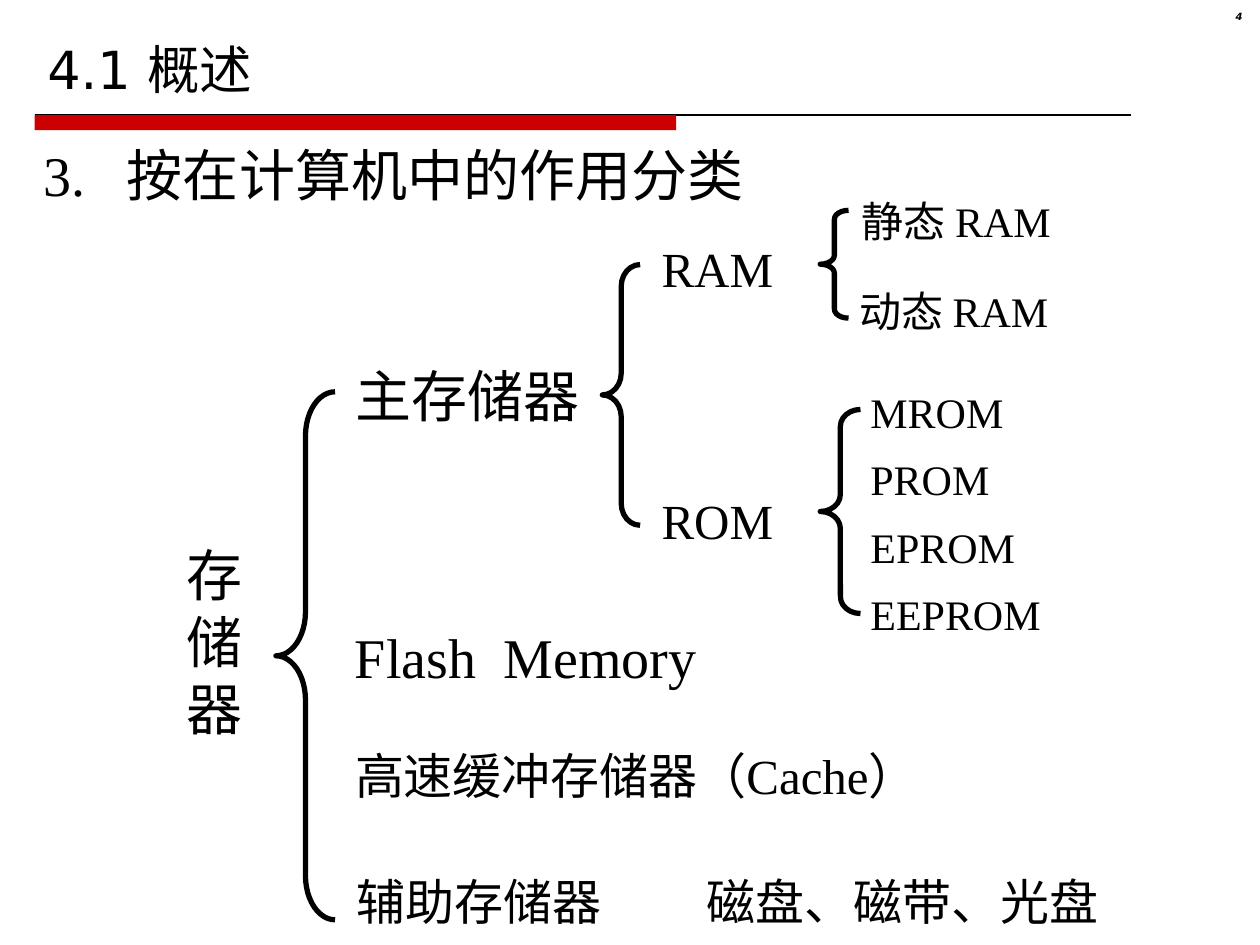
import pptx
import pptx.dml.color
import pptx.enum.shapes
import pptx.enum.text
import pptx.oxml
import pptx.oxml.ns
import pptx.util
from dataclasses import dataclass

Pt = pptx.util.Pt
SHAPE = pptx.enum.shapes.MSO_SHAPE
ALIGN = pptx.enum.text.PP_ALIGN


@dataclass(frozen=True)
class Theme:
    ink: str = "000000"
    accent: str = "CC0000"
    title_font: str = "DejaVu Sans"
    body_font: str = "Times New Roman"
    title: float = 30
    large: float = 32
    medium: float = 28
    small: float = 24
    number: float = 5.7


class SlideBuilder:
    def __init__(self, slide, theme):
        self.slide = slide
        self.theme = theme

    def color(self, value):
        return pptx.dml.color.RGBColor.from_string(value)

    def format_runs(self, tf, size, font):
        for p in tf.paragraphs:
            for r in p.runs:
                r.font.size = Pt(size)
                r.font.name = font
                r.font.color.rgb = self.color(self.theme.ink)

    def title(self, text, x, y, w, h):
        sp = self.slide.shapes.title
        sp.left, sp.top, sp.width, sp.height = Pt(x), Pt(y), Pt(w), Pt(h)
        tf = sp.text_frame
        tf.text = text
        tf.auto_size = pptx.enum.text.MSO_AUTO_SIZE.NONE
        tf.vertical_anchor = pptx.enum.text.MSO_ANCHOR.BOTTOM
        tf.paragraphs[0].alignment = ALIGN.LEFT
        self.format_runs(tf, self.theme.title, self.theme.title_font)

    def label(self, text, x, y, w, h, size, font=None, tab=None):
        sp = self.slide.shapes.add_textbox(Pt(x), Pt(y), Pt(w), Pt(h))
        tf = sp.text_frame
        tf.word_wrap = True
        tf.text = text
        if tab:
            pPr = tf.paragraphs[0]._p.get_or_add_pPr()
            pPr.append(pptx.oxml.parse_xml(
                f'<a:tabLst {pptx.oxml.ns.nsdecls("a")}>'
                f'<a:tab pos="{Pt(tab)}" algn="l"/></a:tabLst>'))
        self.format_runs(tf, size, font or self.theme.body_font)
        return tf

    def brace(self, x, y, w, h):
        sp = self.slide.shapes.add_shape(
            SHAPE.LEFT_BRACE, Pt(x), Pt(y), Pt(w), Pt(h))
        sp.shadow.inherit = False
        sp.adjustments[0] = h / 12 / w  # each curve spans a twelfth of the height
        sp.fill.background()
        sp.line.color.rgb = self.color(self.theme.ink)
        sp.line.width = Pt(3)

    def bar(self, x, y, w, h):
        sp = self.slide.shapes.add_shape(
            SHAPE.RECTANGLE, Pt(x), Pt(y), Pt(w), Pt(h))
        sp.shadow.inherit = False
        sp.fill.solid()
        sp.fill.fore_color.rgb = self.color(self.theme.accent)
        sp.line.fill.background()

    def rule(self, x, y, w):
        cx = self.slide.shapes.add_connector(
            pptx.enum.shapes.MSO_CONNECTOR.STRAIGHT,
            Pt(x), Pt(y), Pt(x + w), Pt(y))
        cx.line.color.rgb = self.color(self.theme.ink)
        cx.line.width = Pt(0.75)
        cx._element.spPr.append(pptx.oxml.parse_xml(
            f'<a:effectLst {pptx.oxml.ns.nsdecls("a")}/>'))


def main():
    prs = pptx.Presentation()
    prs.slide_width, prs.slide_height = Pt(720), Pt(540)
    theme = Theme()
    s = SlideBuilder(prs.slides.add_slide(prs.slide_layouts[5]), theme)

    # Header
    s.rule(19.8, 65.8, 626.4)
    s.bar(19.8, 65.8, 366.6, 8.6)
    s.title("4.1 概述", 19.8, 9.4, 680.4, 51.1)

    # Page number
    p = s.label("4", 674.6, 3.6, 42.5, 16.6, theme.number,
                theme.title_font).paragraphs[0]
    p.alignment = ALIGN.RIGHT
    p.line_spacing = 0.8
    p.runs[0].font.bold = p.runs[0].font.italic = True

    # Section heading
    s.label("3.\t按在计算机中的作用分类", 18, 77, 415, 46, theme.large, tab=47.5)

    # Root and its four branches
    s.label("存\n储\n器", 99.4, 305.3, 46, 122.4, theme.large)
    s.brace(157.7, 223.9, 33.8, 301.7)
    s.label("主存储器", 195.8, 203, 144.7, 46, theme.large)
    s.label("Flash\tMemory", 195.8, 352.1, 296, 46, theme.large, tab=85)
    s.label("高速缓冲存储器（Cache）", 195.8, 422.6, 445.7, 41, theme.medium)
    s.label("辅助存储器", 196.6, 494.6, 154.1, 41, theme.medium)
    s.label("磁盘、磁带、光盘", 396.7, 494.6, 280.8, 41, theme.medium)

    # Main memory: RAM and ROM
    s.brace(344.2, 151.2, 21.6, 149)
    for i, text in enumerate(["RAM", "ROM"]):
        s.label(text, 371, 132.5 + 144 * i, 80, 41, theme.medium)

    # Kinds of RAM
    s.brace(468.7, 120.2, 16.2, 61.6)
    for i, text in enumerate(["静态 RAM", "动态 RAM"]):
        s.label(text, 485.3 - 1.4 * i, 108 + 51.8 * i, 140, 36, theme.small)

    # Kinds of ROM
    s.brace(468.7, 234, 23, 116.6)
    for i, text in enumerate(["MROM", "PROM", "EPROM", "EEPROM"]):
        s.label(text, 490.3, 217.4 + 38.4 * i, 160, 36, theme.small)

    prs.save("out.pptx")


if __name__ == "__main__":
    main()
